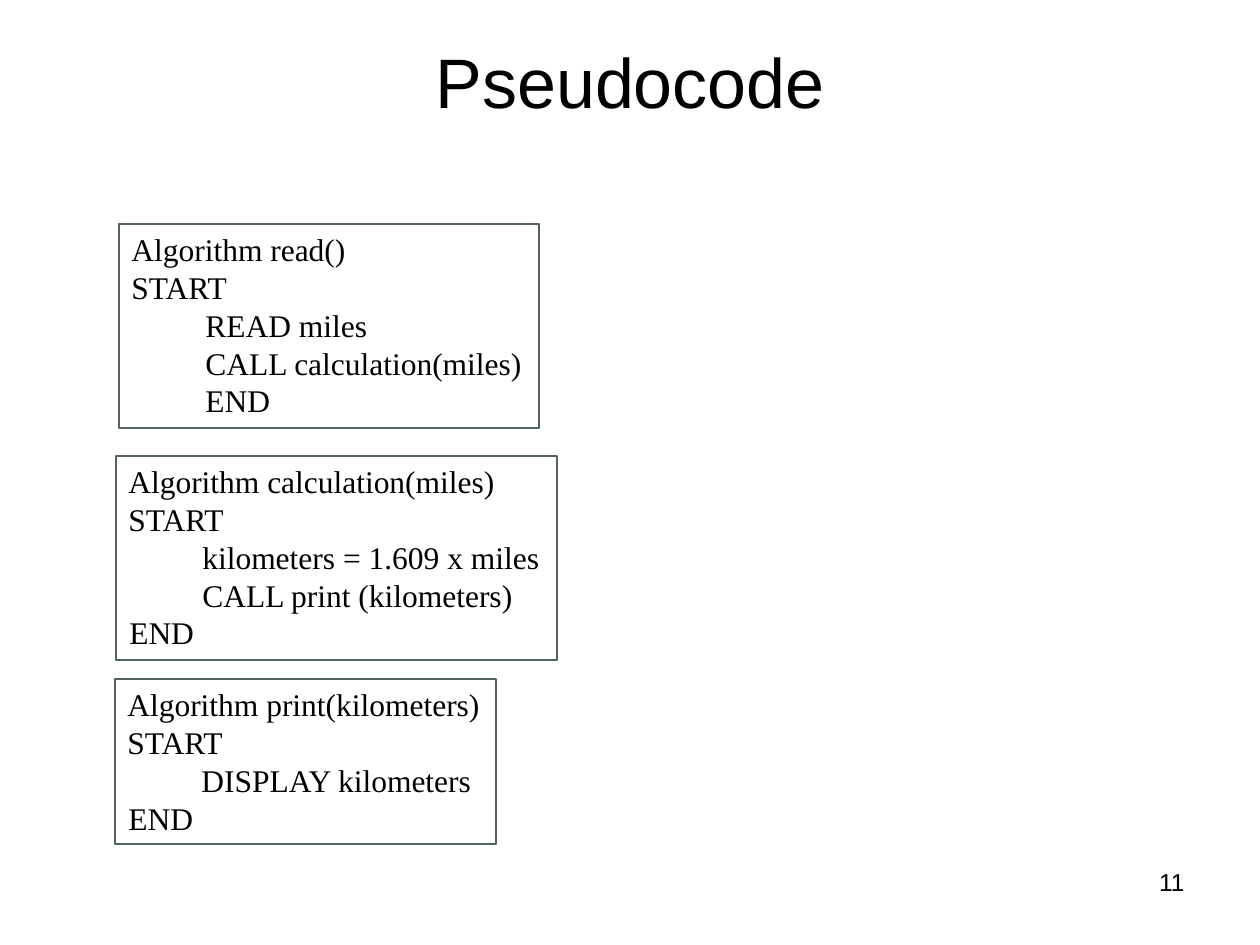
"""Build the Pseudocode slide with three boxed algorithms."""
from pptx import Presentation
from pptx.dml.color import RGBColor
from pptx.enum.shapes import MSO_SHAPE
from pptx.enum.text import MSO_ANCHOR, MSO_AUTO_SIZE, PP_ALIGN
from pptx.util import Pt

RECTANGLE = MSO_SHAPE.RECTANGLE
LEFT, CENTER, RIGHT = PP_ALIGN.LEFT, PP_ALIGN.CENTER, PP_ALIGN.RIGHT
TOP, MIDDLE = MSO_ANCHOR.TOP, MSO_ANCHOR.MIDDLE
GROW = MSO_AUTO_SIZE.SHAPE_TO_FIT_TEXT
BLACK = RGBColor(0x00, 0x00, 0x00)
BORDER = RGBColor(0x52, 0x62, 0x63)
PX = 914400 // 126
STEP = 74

TITLE = "Pseudocode"
PAGE_NUMBER = "11"
ALGORITHMS = [
    ((119, 224, 420, 204), [
        (0, "Algorithm read()"),
        (0, "START"),
        (STEP, "READ miles"),
        (STEP, "CALL calculation(miles)"),
        (STEP, "END"),
    ]),
    ((116, 456, 441, 204), [
        (0, "Algorithm calculation(miles)"),
        (0, "START"),
        (STEP, "kilometers = 1.609 x miles"),
        (STEP, "CALL print (kilometers)"),
        (1, "END"),
    ]),
    ((115, 679, 381, 165), [
        (0, "Algorithm print(kilometers)"),
        (0, "START"),
        (STEP, "DISPLAY kilometers"),
        (1, "END"),
    ]),
]


def place(shape, box):
    shape.left, shape.top, shape.width, shape.height = (n * PX for n in box)


def format_text(shape, font_name, size, alignment, anchor):
    shape.text_frame.vertical_anchor = anchor
    for paragraph in shape.text_frame.paragraphs:
        paragraph.alignment = alignment
        for run in paragraph.runs:
            run.font.name = font_name
            run.font.size = Pt(size)
            run.font.color.rgb = BLACK


def add_algorithm(slide, box, lines):
    shape = slide.shapes.add_shape(RECTANGLE, *(n * PX for n in box))
    shape.shadow.inherit = False
    shape.fill.background()
    shape.line.color.rgb = BORDER
    shape.line.width = Pt(1.5)
    frame = shape.text_frame
    frame.text = "\n".join(text for _, text in lines)
    frame.word_wrap = False
    frame.auto_size = GROW
    for paragraph, (indent, _) in zip(frame.paragraphs, lines):
        properties = paragraph._p.get_or_add_pPr()
        properties.set("marL", str(indent * PX))
        properties.set("indent", "0")
    format_text(shape, "Times New Roman", 18, LEFT, TOP)


def main():
    presentation = Presentation()
    presentation.slide_width = 1260 * PX
    presentation.slide_height = 945 * PX
    slide = presentation.slides.add_slide(presentation.slide_layouts[5])

    title = slide.shapes.title
    place(title, (63, 38, 1134, 86))
    title.text_frame.text = TITLE
    format_text(title, "Arial", 40, CENTER, MIDDLE)

    number = slide.shapes.add_textbox(*(n * PX for n in (903, 861, 294, 65)))
    number.text_frame.text = PAGE_NUMBER
    number.text_frame.word_wrap = True
    format_text(number, "Arial", 14, RIGHT, TOP)

    for box, lines in ALGORITHMS:
        add_algorithm(slide, box, lines)
    presentation.save("out.pptx")


if __name__ == "__main__":
    main()
